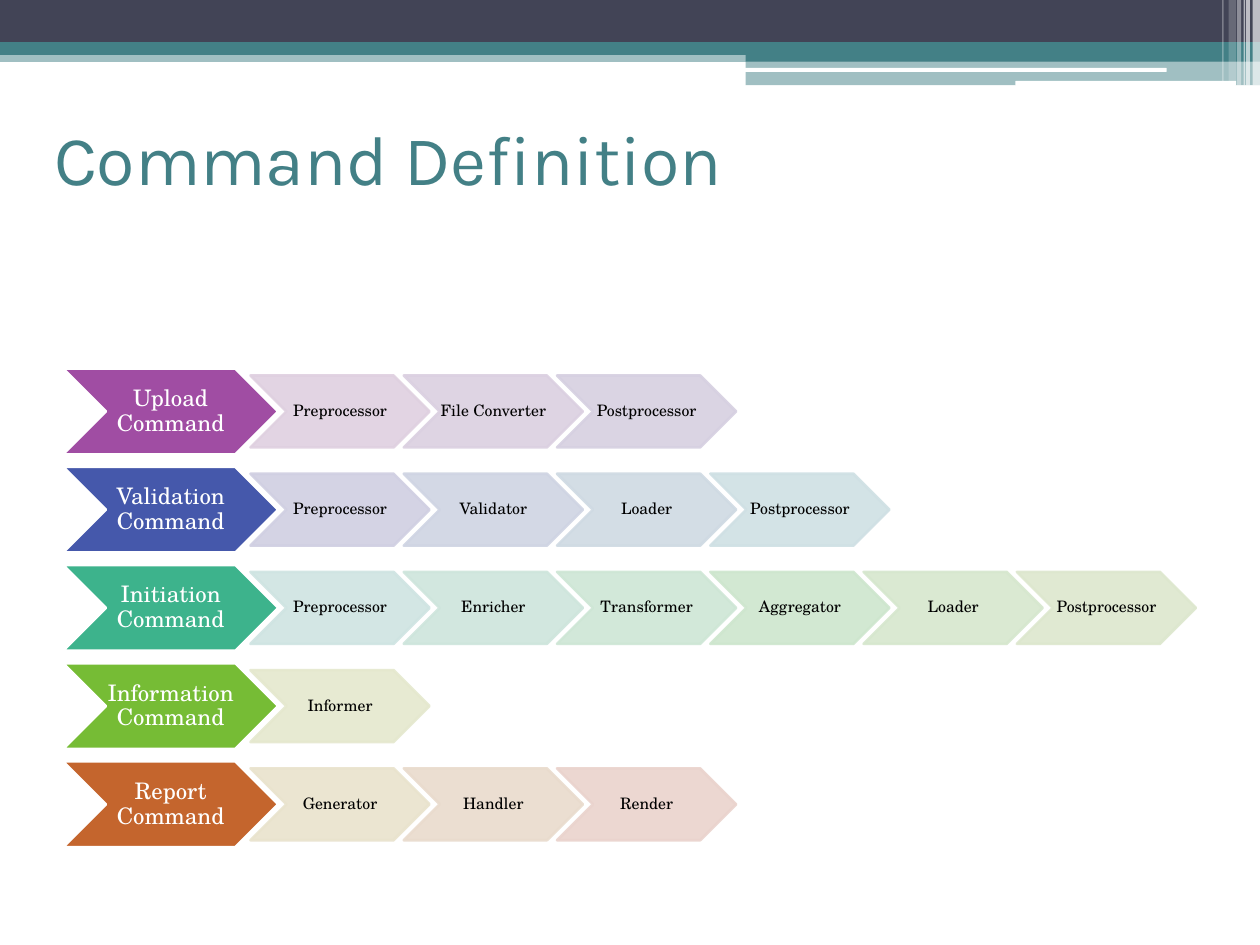
from pptx import Presentation
from pptx.dml.color import RGBColor
from pptx.enum.shapes import MSO_SHAPE
from pptx.enum.text import MSO_ANCHOR, PP_ALIGN
from pptx.oxml.ns import qn
from pptx.util import Cm, Pt
from lxml.etree import SubElement

WHITE, TEAL, NAVY = "FFFFFF", "438086", "424456"


def paint(fill, color, alpha=100):
    """Make a fill solid, with an opacity in percent."""
    fill.solid()
    fill.fore_color.rgb = RGBColor.from_string(color)
    if alpha < 100:
        node = fill._xPr.find(qn("a:solidFill"))[0]
        SubElement(node, qn("a:alpha")).set("val", str(alpha * 1000))


class Deck:
    """Holds the style and the current slide; sizes are in centimetres."""
    head = "Karla"
    body = "TeX Gyre Schola"

    def __init__(self):
        """Open a file with one blank slide."""
        self.file = Presentation()
        self.file.slide_width, self.file.slide_height = Cm(25.4), Cm(19.05)
        self.slide = self.file.slides.add_slide(self.file.slide_layouts[6])

    def shape(self, kind, box, color, alpha=100):
        """Add a filled shape without outline."""
        item = self.slide.shapes.add_shape(kind, *map(Cm, box))
        item.shadow.inherit = False
        paint(item.fill, color, alpha)
        item.line.fill.background()
        return item

    def label(self, item, text, font, size, color, align, pad=0.0):
        """Put one run of text in a shape."""
        frame = item.text_frame
        frame.word_wrap = True
        frame.vertical_anchor = MSO_ANCHOR.MIDDLE
        frame.margin_left = frame.margin_right = Cm(pad)
        frame.margin_top = frame.margin_bottom = Cm(pad / 2)
        para = frame.paragraphs[0]
        para.alignment = align
        run = para.add_run()
        run.text = text
        run.font.name, run.font.size = font, Pt(size)
        paint(run.font.fill, color)
        return para

    def title(self, text, box):
        """Add the slide title."""
        item = self.slide.shapes.add_textbox(*map(Cm, box))
        self.label(item, text, self.head, 40, TEAL, PP_ALIGN.LEFT, 0.25)

    def arrow(self, text, box, color, line, size, ink, alpha=100):
        """Add a chevron with centred text."""
        item = self.shape(MSO_SHAPE.CHEVRON, box, color, alpha)
        paint(item.line.fill, line, alpha)
        item.line.width = Pt(1.5)
        para = self.label(item, text, self.body, size, ink, PP_ALIGN.CENTER)
        para.line_spacing = 0.9


deck = Deck()

# Header bands: box, colour, opacity
bands = [
    ((0, 1.02, 25.4, 0.23), TEAL, 50),
    ((0, 0, 25.4, 0.86), NAVY, 100),
    ((0, 0.85, 25.4, 0.26), TEAL, 100),
    ((15.03, 0.99, 10.37, 0.25), TEAL, 100),
    ((15.03, 1.23, 10.37, 0.49), TEAL, 50),
]
for box, color, alpha in bands:
    deck.shape(MSO_SHAPE.RECTANGLE, box, color, alpha)
for box in [(15.01, 1.37, 8.51, 0.08), (20.47, 1.63, 4.45, 0.1)]:
    deck.shape(MSO_SHAPE.ROUNDED_RECTANGLE, box, WHITE)

# Header stripes: left, width, height, opacity
stripes = [
    (25.25, 0.15, 1.73, 65), (25.12, 0.08, 1.73, 65), (25.07, 0.03, 1.73, 60),
    (24.94, 0.08, 1.73, 40), (24.77, 0.15, 1.63, 20), (24.64, 0.03, 1.63, 30),
]
for left, wide, high, alpha in stripes:
    deck.shape(MSO_SHAPE.RECTANGLE, (left, 0, wide, high), WHITE, alpha)

deck.title("Command Definition", (0.84, 1.7, 22.86, 2.97))

# Commands with their steps
rows = [
    ("Upload", "A04DA3", [("Preprocessor", "DFD0E0"),
                          ("File Converter", "DBD0E1"),
                          ("Postprocessor", "D6D0E1")]),
    ("Validation", "4558AB", [("Preprocessor", "D0CFE2"),
                              ("Validator", "CFD4E3"),
                              ("Loader", "CFDAE3"),
                              ("Postprocessor", "CFE0E4")]),
    ("Initiation", "3DB38C", [("Preprocessor", "CFE4E2"),
                              ("Enricher", "CEE5DC"),
                              ("Transformer", "CEE6D5"),
                              ("Aggregator", "CEE6CE"),
                              ("Loader", "D6E7CE"),
                              ("Postprocessor", "DDE7CE")]),
    ("Information", "76BC35", [("Informer", "E5E8CE")]),
    ("Report", "C4652D", [("Generator", "E9E3CD"),
                          ("Handler", "E9DBCD"),
                          ("Render", "EAD3CD")]),
]
for i, (name, color, steps) in enumerate(rows):
    top = 7.43 + 1.98 * i
    deck.arrow(name + " Command", (1.27, top, 4.34, 1.73),
               color, WHITE, 13, WHITE)
    for j, (step, tint) in enumerate(steps):
        deck.arrow(step, (5.05 + 3.09 * j, top + 0.14, 3.61, 1.45),
                   tint, tint, 9, "000000", 90)

deck.file.save("out.pptx")
